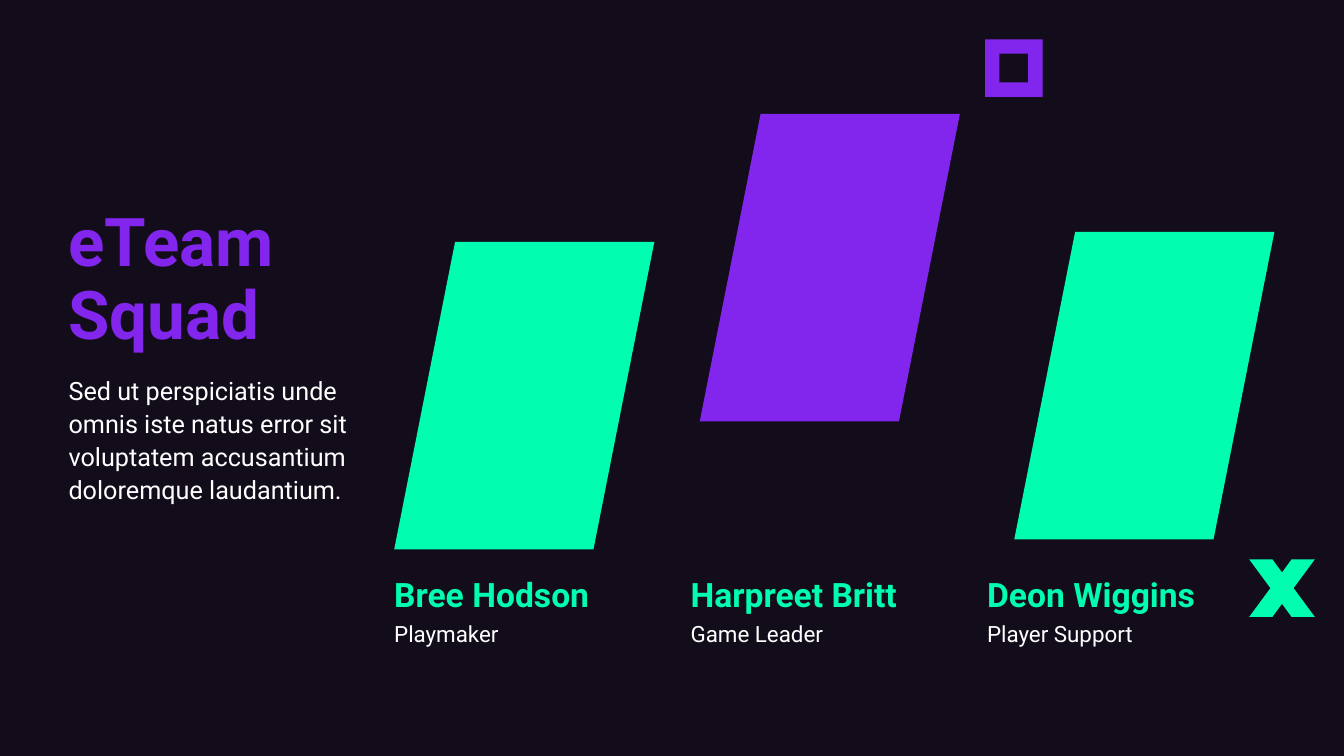
from lxml import etree
from pptx import Presentation
from pptx.dml.color import RGBColor
from pptx.enum.shapes import MSO_SHAPE
from pptx.enum.text import MSO_ANCHOR, MSO_AUTO_SIZE, PP_ALIGN
from pptx.oxml.ns import qn
from pptx.util import Inches, Pt

PARALLELOGRAM, FRAME = MSO_SHAPE.PARALLELOGRAM, MSO_SHAPE.FRAME
TOP, BOTTOM = MSO_ANCHOR.TOP, MSO_ANCHOR.BOTTOM
LEFT = PP_ALIGN.LEFT
NO_AUTOFIT = MSO_AUTO_SIZE.NONE

COLORS = {
    "night": "130D1B",
    "purple": "8226EE",
    "mint": "01FDB0",
    "white": "FFFFFF",
}
FONT = "Roboto"
MEMBERS = [
    ("Bree Hodson", "Playmaker", "mint", 3.91, 2.4),
    ("Harpreet Britt", "Game Leader", "purple", 6.94, 1.13),
    ("Deon Wiggins", "Player Support", "mint", 10.06, 2.3),
]
LABEL_LEFT, LABEL_STEP = 3.91, 2.94


def color(name):
    return RGBColor.from_string(COLORS[name])


def place(shape, left, top, width, height):
    shape.left, shape.top = Inches(left), Inches(top)
    shape.width, shape.height = Inches(width), Inches(height)


def paint(shape, fill):
    shape.shadow.inherit = False
    shape.fill.solid()
    shape.fill.fore_color.rgb = color(fill)
    shape.line.fill.background()


def remove_bullet(para):
    properties = para._p.get_or_add_pPr()
    properties.set("marL", "0")
    properties.set("indent", "0")
    etree.SubElement(properties, qn("a:buNone"))


def write(box, text, size, fill, bold=False, anchor=TOP, spacing=1.1):
    frame = box.text_frame
    frame.text = text
    frame.word_wrap = True
    frame.auto_size = NO_AUTOFIT
    frame.vertical_anchor = anchor
    frame.margin_left = frame.margin_top = 0
    frame.margin_right = frame.margin_bottom = 0
    para = frame.paragraphs[0]
    remove_bullet(para)
    para.alignment = LEFT
    para.line_spacing = spacing
    para.space_before = Pt(0)
    font = para.font
    font.name, font.size, font.bold = FONT, Pt(size), bold
    font.color.rgb = color(fill)


def add_intro(page, left, top, width):
    title, body = page.shapes.title, page.placeholders[1]
    place(title, left, top, width, 2.25)
    write(title, "eTeam Squad", 48, "purple", True, BOTTOM, 0.9)
    place(body, left, top + 2.43, 3, 3.16)
    write(
        body,
        "Sed ut perspiciatis unde omnis iste natus error sit "
        "voluptatem accusantium doloremque laudantium.",
        18, "white")


def add_portrait(page, left, top, fill):
    portrait = page.shapes.add_shape(
        PARALLELOGRAM, Inches(left), Inches(top), Inches(2.58), Inches(3.05))
    portrait.adjustments[0] = 0.234
    paint(portrait, fill)


def add_label(page, left, top, name, role):
    name_box, role_box = [page.shapes.add_textbox(0, 0, 0, 0) for _ in range(2)]
    place(name_box, left, top, 2.6, 0.67)
    write(name_box, name, 24, "mint", True, BOTTOM)
    place(role_box, left, top + 0.71, 2.6, 0.79)
    write(role_box, role, 16, "white")


def add_square(page, left, top, side):
    square = page.shapes.add_shape(
        FRAME, Inches(left), Inches(top), Inches(side), Inches(side))
    square.adjustments[0] = 0.25
    paint(square, "purple")


def add_cross(page, left, top, width, height):
    middle, center = height / 2, width / 2
    arm, notch, waist = 0.23, 0.13, 0.21
    corners = [
        (0, 0), (arm, 0), (center, notch), (width - arm, 0), (width, 0),
        (width - waist, middle), (width, height), (width - arm, height),
        (center, height - notch), (arm, height), (0, height), (waist, middle),
    ]
    points = [(Inches(left + x), Inches(top + y)) for x, y in corners]
    outline = page.shapes.build_freeform(*points[0])
    outline.add_line_segments(points[1:], close=True)
    paint(outline.convert_to_shape(), "mint")


def build_team_slide(deck):
    page = deck.slides.add_slide(deck.slide_layouts[1])
    page.background.fill.solid()
    page.background.fill.fore_color.rgb = color("night")
    add_intro(page, 0.68, 1.26, 3.23)
    for index, (name, role, fill, left, top) in enumerate(MEMBERS):
        add_portrait(page, left, top, fill)
        add_label(page, LABEL_LEFT + index * LABEL_STEP, 5.42, name, role)
    add_square(page, 9.77, 0.39, 0.57)
    add_cross(page, 12.39, 5.55, 0.65, 0.57)


def main():
    deck = Presentation()
    deck.slide_width, deck.slide_height = Inches(13.33), Inches(7.5)
    build_team_slide(deck)
    deck.save("out.pptx")


if __name__ == "__main__":
    main()
